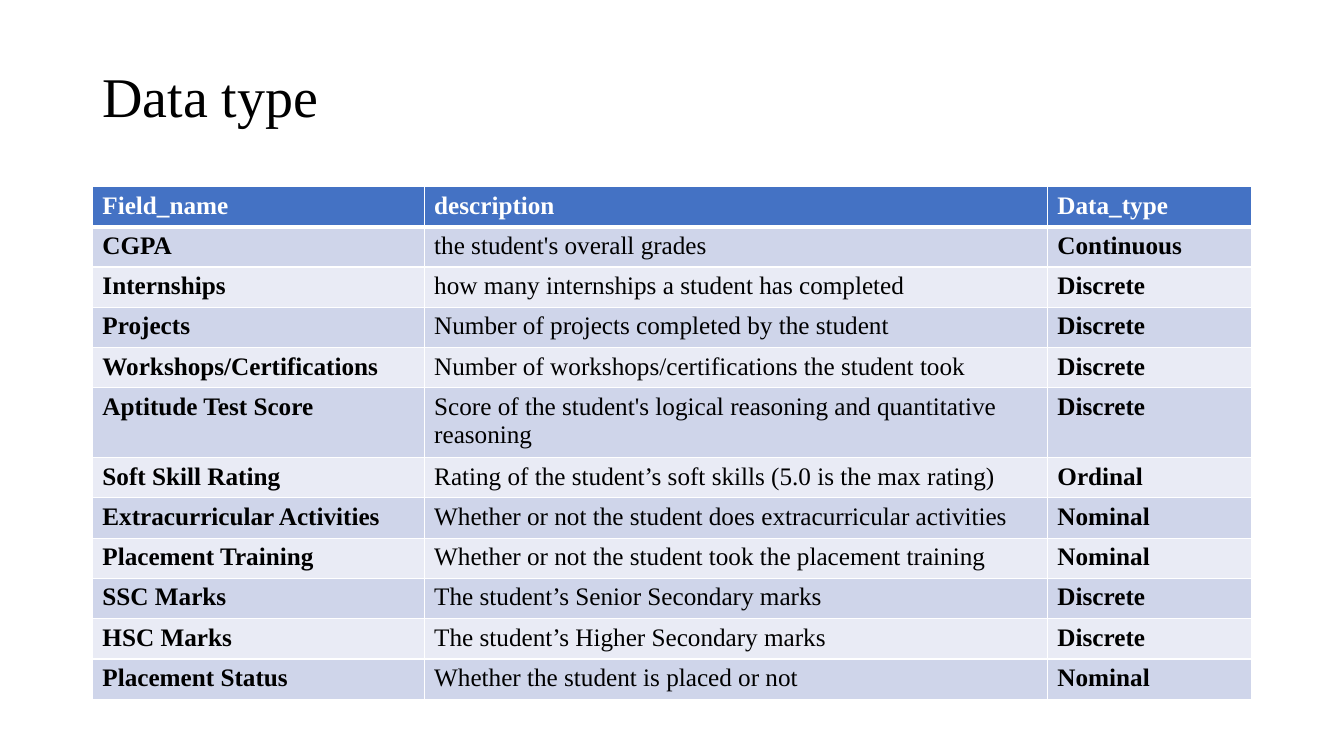
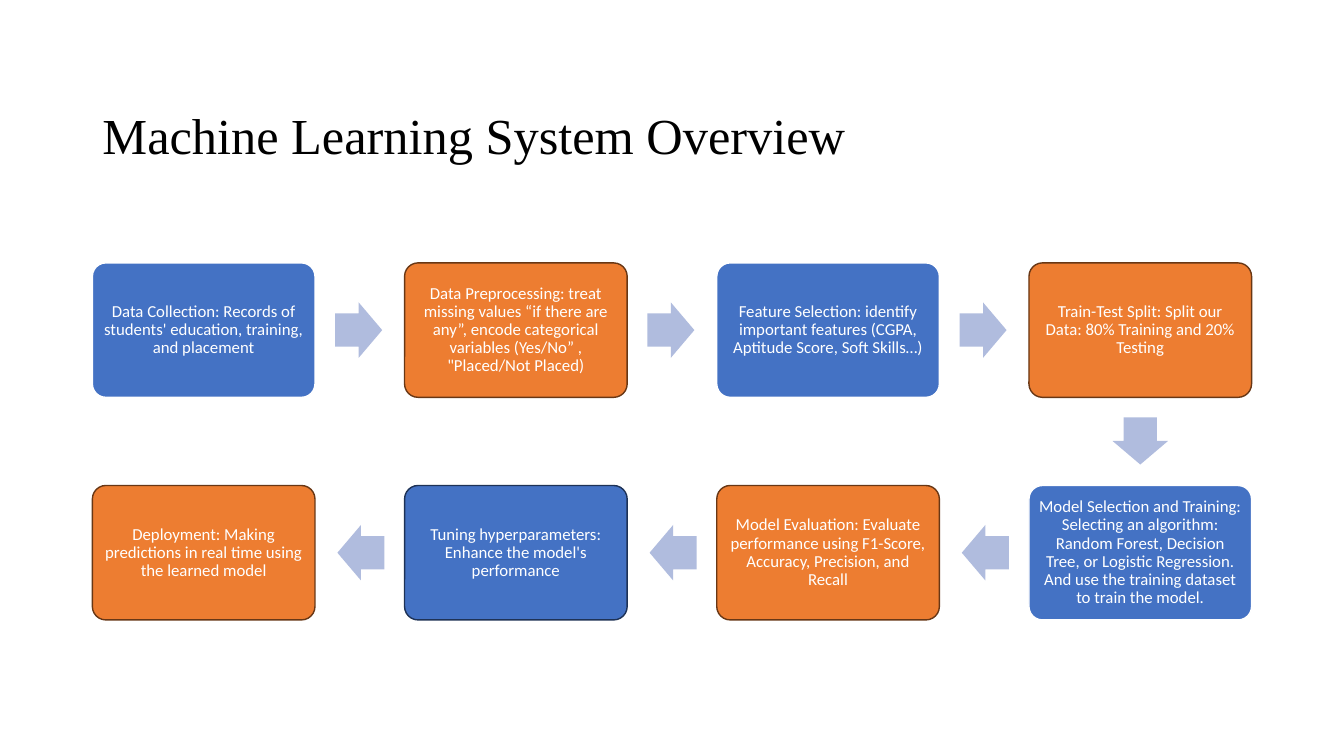
"""Builds a data type table and a machine learning workflow on two slides."""
from math import atan2, degrees

from lxml.etree import SubElement
from pptx import Presentation
from pptx.dml.color import RGBColor
from pptx.enum.shapes import MSO_SHAPE
from pptx.enum.text import MSO_ANCHOR, MSO_AUTO_SIZE, PP_ALIGN
from pptx.oxml.ns import qn
from pptx.util import Inches, Pt

COLUMNS, ROWS = 160, 90
LEFT, WIDTH = 11, 138
COLORS = {
    "text": "000000", "white": "FFFFFF", "blue": "4472C4", "navy": "1E3256",
    "orange": "ED7D31", "brown": "683715", "arrow": "B0BCDE",
    "band_dark": "CFD5EA", "band_light": "E9EBF5",
}
SERIF, SANS = "Times New Roman", "Calibri"
BOX_W, BOX_H, BOX_TOP = 26.5, 16, 31.3
PITCH_X, PITCH_Y = (WIDTH - BOX_W) / 3, 26.5
ARROW_W, ARROW_H, ARROW_OFFSET = 5.6, 6.6, 5.2

FIELD_COLUMNS = [39.5, 74.2, 24.3]
ROW_HEIGHT, TALL_ROW_HEIGHT = 4.8, 8.3
FIELDS = [
    ("Field_name", "description", "Data_type"),
    ("CGPA", "the student's overall grades", "Continuous"),
    ("Internships", "how many internships a student has completed", "Discrete"),
    ("Projects", "Number of projects completed by the student", "Discrete"),
    ("Workshops/Certifications", "Number of workshops/certifications the student took", "Discrete"),
    ("Aptitude Test Score", "Score of the student's logical reasoning and quantitative reasoning", "Discrete"),
    ("Soft Skill Rating", "Rating of the student’s soft skills (5.0 is the max rating)", "Ordinal"),
    ("Extracurricular Activities", "Whether or not the student does extracurricular activities", "Nominal"),
    ("Placement Training", "Whether or not the student took the placement training", "Nominal"),
    ("SSC Marks", "The student’s Senior Secondary marks", "Discrete"),
    ("HSC Marks", "The student’s Higher Secondary marks", "Discrete"),
    ("Placement Status", "Whether the student is placed or not", "Nominal"),
]
STEPS = [
    ("Data Collection: Records of students' education, training, and placement", "blue", "white"),
    ("Data Preprocessing: treat missing values “if there are any”, encode categorical variables "
     "(Yes/No” , \"Placed/Not Placed)", "orange", "brown"),
    ("Feature Selection: identify important features (CGPA, Aptitude Score, Soft Skills…)", "blue", "white"),
    ("Train-Test Split: Split our Data: 80% Training and 20% Testing", "orange", "brown"),
    ("Model Selection and Training: Selecting an algorithm: Random Forest, Decision Tree, or "
     "Logistic Regression. And use the training dataset to train the model.", "blue", "white"),
    ("Model Evaluation: Evaluate performance using F1-Score, Accuracy, Precision, and Recall", "orange", "brown"),
    ("Tuning hyperparameters: Enhance the model's performance", "blue", "navy"),
    ("Deployment: Making predictions in real time using the learned model", "orange", "brown"),
]


def rgb(name):
    return RGBColor.from_string(COLORS[name])


def grid(units):
    return Inches(units / 12)


def apply(target, **formats):
    for name, value in formats.items():
        setattr(target, name, value)


class Deck:
    def __init__(self):
        self.presentation = Presentation()
        apply(self.presentation, slide_width=grid(COLUMNS), slide_height=grid(ROWS))
        self.slide = None

    def put_text(self, frame, text, size, font, color, bold=False, **paragraph_formats):
        paragraph = frame.paragraphs[0]
        apply(paragraph, **paragraph_formats)
        run = paragraph.add_run()
        run.text = text
        apply(run.font, size=Pt(size), name=font, bold=bold)
        run.font.color.rgb = rgb(color)

    def new_slide(self, heading, top, size):
        self.slide = self.presentation.slides.add_slide(self.presentation.slide_layouts[5])
        title = self.slide.shapes.title
        apply(title, left=grid(LEFT), top=grid(top), width=grid(WIDTH), height=grid(17.4))
        apply(title.text_frame, vertical_anchor=MSO_ANCHOR.MIDDLE,
              auto_size=MSO_AUTO_SIZE.NONE, word_wrap=True)
        self.put_text(title.text_frame, heading, size, SERIF, "text",
                      alignment=PP_ALIGN.LEFT, line_spacing=0.9)

    def border(self, cell, side, points):
        properties = cell._tc.get_or_add_tcPr()
        line = SubElement(properties, qn(f"a:ln{side}"), w=str(Pt(points)))
        fill = SubElement(line, qn("a:solidFill"))
        SubElement(fill, qn("a:srgbClr"), val=COLORS["white"])

    def table(self, records, top, widths, heights):
        frame = self.slide.shapes.add_table(
            len(records), len(widths), grid(LEFT), grid(top), grid(sum(widths)), grid(sum(heights)))
        table = frame.table
        for column, width in zip(table.columns, widths):
            column.width = grid(width)
        for r, (record, height) in enumerate(zip(records, heights)):
            table.rows[r].height = grid(height)
            band = "blue" if r == 0 else "band_dark" if r % 2 else "band_light"
            for c, text in enumerate(record):
                cell = table.cell(r, c)
                for side in "LRTB":
                    header_edge = (r, side) in ((0, "B"), (1, "T"))
                    self.border(cell, side, 3 if header_edge else 1)
                cell.fill.solid()
                cell.fill.fore_color.rgb = rgb(band)
                self.put_text(cell.text_frame, text, 18, SERIF, "text" if r else "white",
                              bold=r == 0 or c != 1)

    def preset(self, kind, center, width, height, fill, *adjustments):
        x, y = center
        shape = self.slide.shapes.add_shape(
            kind, grid(x - width / 2), grid(y - height / 2), grid(width), grid(height))
        shape.shadow.inherit = False
        shape.fill.solid()
        shape.fill.fore_color.rgb = rgb(fill)
        for index, value in enumerate(adjustments):
            shape.adjustments[index] = value
        return shape

    def step(self, center, text, fill, outline):
        box = self.preset(MSO_SHAPE.ROUNDED_RECTANGLE, center, BOX_W, BOX_H, fill, 0.1)
        box.line.color.rgb = rgb(outline)
        box.line.width = Pt(1)
        inset = Inches(0.05)
        apply(box.text_frame, word_wrap=True, vertical_anchor=MSO_ANCHOR.MIDDLE,
              margin_left=inset, margin_right=inset, margin_top=inset, margin_bottom=inset)
        self.put_text(box.text_frame, text, 12, SANS, "white",
                      alignment=PP_ALIGN.CENTER, line_spacing=0.9)

    def arrow(self, start, direction):
        dx, dy = direction
        center = (start[0] + dx * (BOX_W / 2 + ARROW_OFFSET),
                  start[1] + dy * (BOX_H / 2 + ARROW_OFFSET))
        arrow = self.preset(MSO_SHAPE.RIGHT_ARROW, center, ARROW_W, ARROW_H, "arrow", 0.6, 0.5)
        arrow.line.fill.background()
        arrow.rotation = degrees(atan2(dy, dx))

    def workflow(self, steps, per_row):
        cells = []
        for i in range(len(steps)):
            row, column = divmod(i, per_row)
            cells.append((per_row - 1 - column if row % 2 else column, row))
        centers = [(LEFT + BOX_W / 2 + column * PITCH_X, BOX_TOP + BOX_H / 2 + row * PITCH_Y)
                   for column, row in cells]
        for center, step in zip(centers, steps):
            self.step(center, *step)
        for center, here, following in zip(centers, cells, cells[1:]):
            self.arrow(center, (following[0] - here[0], following[1] - here[1]))


def main():
    deck = Deck()
    deck.new_slide("Data type", 3.1, 40)
    heights = [TALL_ROW_HEIGHT if field[0] == "Aptitude Test Score" else ROW_HEIGHT for field in FIELDS]
    deck.table(FIELDS, 22.2, FIELD_COLUMNS, heights)
    deck.new_slide("Machine Learning System Overview", 7.8, 36)
    deck.workflow(STEPS, 4)
    deck.presentation.save("out.pptx")


if __name__ == "__main__":
    main()
